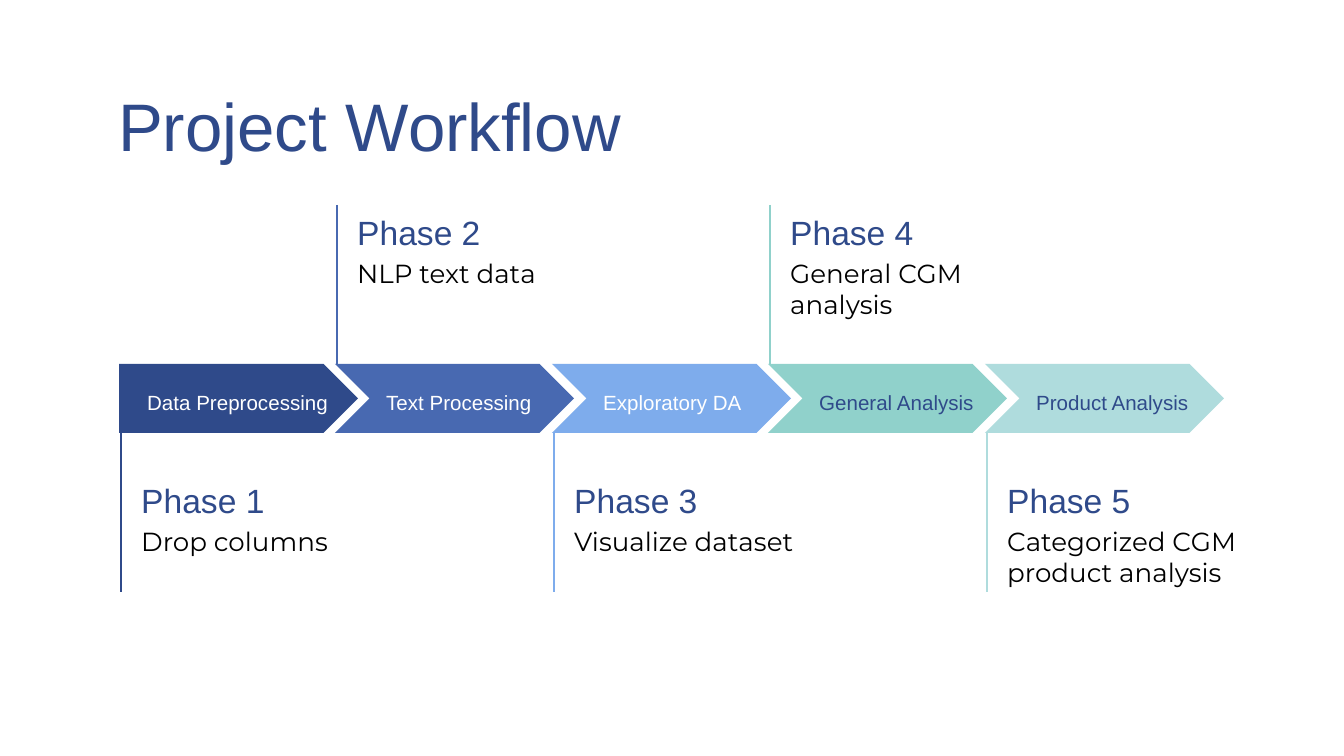
from dataclasses import dataclass

from pptx import Presentation
from pptx.dml.color import RGBColor
from pptx.enum.shapes import MSO_CONNECTOR, MSO_SHAPE
from pptx.enum.text import MSO_ANCHOR
from pptx.oxml.ns import qn
from pptx.slide import Slide
from pptx.util import Emu, Inches, Pt
from lxml.etree import SubElement

EMU_PER_PX = 914400 / 134.4


@dataclass(frozen=True)
class Theme:
    navy: str = "2F4A8A"
    blue: str = "4869B1"
    sky: str = "7EACEC"
    teal: str = "90D1CB"
    mist: str = "AFDCDD"
    white: str = "FFFFFF"
    black: str = "000000"
    heading_font: str = "Arial"
    body_font: str = "Montserrat"
    title_size: int = 36
    phase_size: int = 18
    detail_size: int = 14
    label_size: int = 11
    stem_width: float = 1.5


THEME = Theme()


@dataclass(frozen=True)
class Style:
    font: str
    size: int
    color: str
    line_spacing: float = 1.0


@dataclass(frozen=True)
class Phase:
    label: str
    detail: str
    fill: str
    label_color: str
    label_offset: int = 38
    label_width: int = 202
    detail_width: int = 280


PHASES = [
    Phase("Data Preprocessing", "Drop columns", THEME.navy, THEME.white,
          label_offset=15, label_width=223),
    Phase("Text Processing", "NLP text data", THEME.blue, THEME.white),
    Phase("Exploratory DA", "Visualize dataset", THEME.sky, THEME.white,
          detail_width=359),
    Phase("General Analysis", "General CGM analysis", THEME.teal, THEME.navy),
    Phase("Product Analysis", "Categorized CGM product analysis", THEME.mist, THEME.navy),
]

ROW_LEFT, ROW_TOP = 119, 364
ARROW_WIDTH, ARROW_HEIGHT = 239, 69
TWO_STEPS = 433
STEM_LENGTH = 159


def px(length: int) -> Emu:
    return Emu(round(length * EMU_PER_PX))


def heading_style(size: int, color: str) -> Style:
    return Style(THEME.heading_font, size, color, line_spacing=1.1)


def add_text(page: Slide, text: str, left: int, top: int, width: int, height: int,
             style: Style) -> None:
    box = page.shapes.add_textbox(px(left), px(top), px(width), px(height))
    frame = box.text_frame
    frame.word_wrap = True
    frame.vertical_anchor = MSO_ANCHOR.TOP
    frame.margin_left = frame.margin_right = Inches(0.1)
    frame.margin_top = frame.margin_bottom = Inches(0.1)
    para = frame.paragraphs[0]
    para.text = text
    para.line_spacing = style.line_spacing
    para.font.name = style.font
    para.font.size = Pt(style.size)
    para.font.color.rgb = RGBColor.from_string(style.color)


def add_arrow_with_stem(page: Slide, phase: Phase, preset: MSO_SHAPE,
                        left: int, stem_top: int) -> None:
    group = page.shapes.add_group_shape()
    color = RGBColor.from_string(phase.fill)
    arrow = group.shapes.add_shape(preset, px(left), px(ROW_TOP),
                                   px(ARROW_WIDTH), px(ARROW_HEIGHT))
    arrow.shadow.inherit = False
    arrow.fill.solid()
    arrow.fill.fore_color.rgb = color
    arrow.line.fill.background()
    stem = group.shapes.add_connector(MSO_CONNECTOR.STRAIGHT, px(left + 2), px(stem_top),
                                      px(left + 2), px(stem_top + STEM_LENGTH))
    stem.line.color.rgb = color
    stem.line.width = Pt(THEME.stem_width)
    SubElement(stem._element.spPr, qn("a:effectLst"))


def add_phase(page: Slide, index: int, phase: Phase) -> None:
    left = ROW_LEFT + index * TWO_STEPS // 2
    is_above = index % 2 == 1
    stem_top = ROW_TOP - STEM_LENGTH if is_above else ROW_TOP + ARROW_HEIGHT
    heading_top = stem_top - 11 if is_above else stem_top + 29
    preset = MSO_SHAPE.PENTAGON if index == 0 else MSO_SHAPE.CHEVRON
    add_arrow_with_stem(page, phase, preset, left, stem_top)
    add_text(page, phase.label, left + phase.label_offset, ROW_TOP + 10,
             phase.label_width, 38, heading_style(THEME.label_size, phase.label_color))
    add_text(page, f"Phase {index + 1}", left + 9, heading_top, 230, 52,
             heading_style(THEME.phase_size, THEME.navy))
    add_text(page, phase.detail, left + 9, heading_top + 50, phase.detail_width, 79,
             Style(THEME.body_font, THEME.detail_size, THEME.black))


def main() -> None:
    deck = Presentation()
    deck.slide_width, deck.slide_height = px(1344), px(756)
    page = deck.slides.add_slide(deck.slide_layouts[6])
    add_text(page, "Project Workflow", 105, 63, 1134, 69,
             heading_style(THEME.title_size, THEME.navy))
    for index, phase in enumerate(PHASES):
        add_phase(page, index, phase)
    deck.save("out.pptx")


if __name__ == "__main__":
    main()
